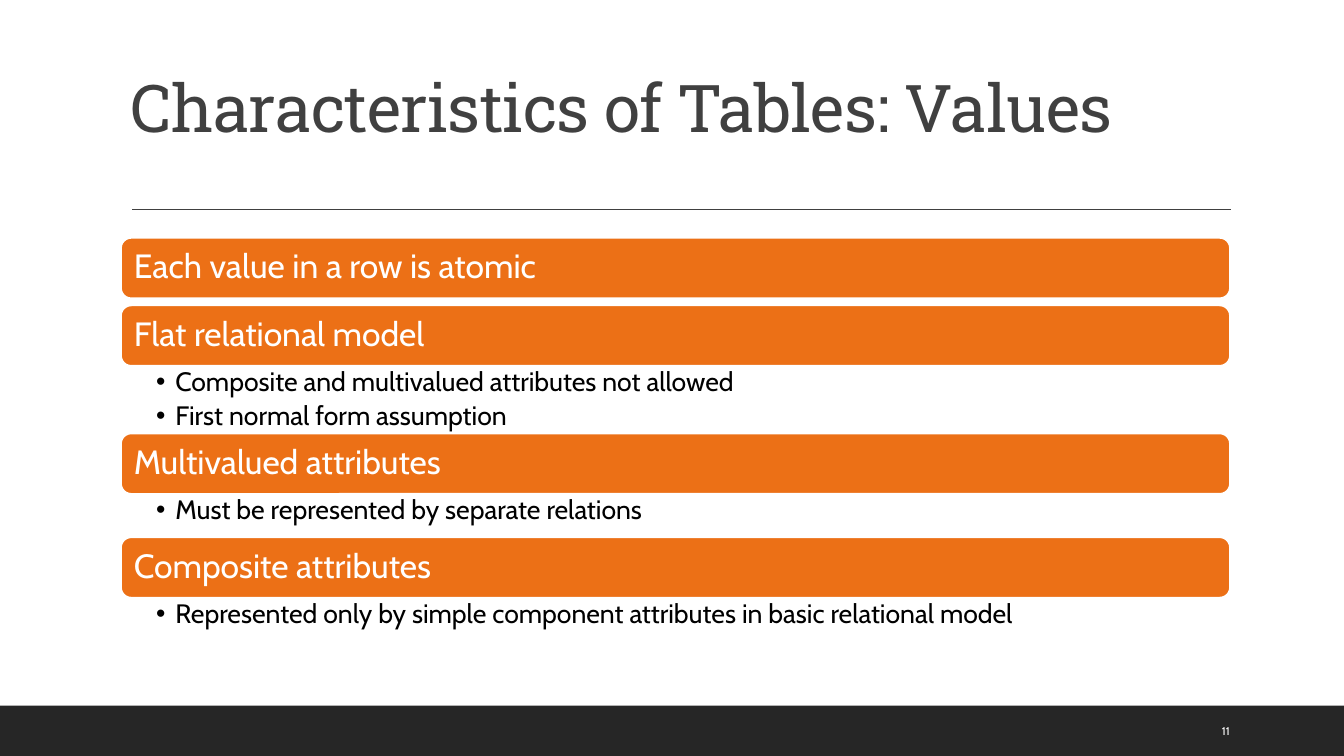
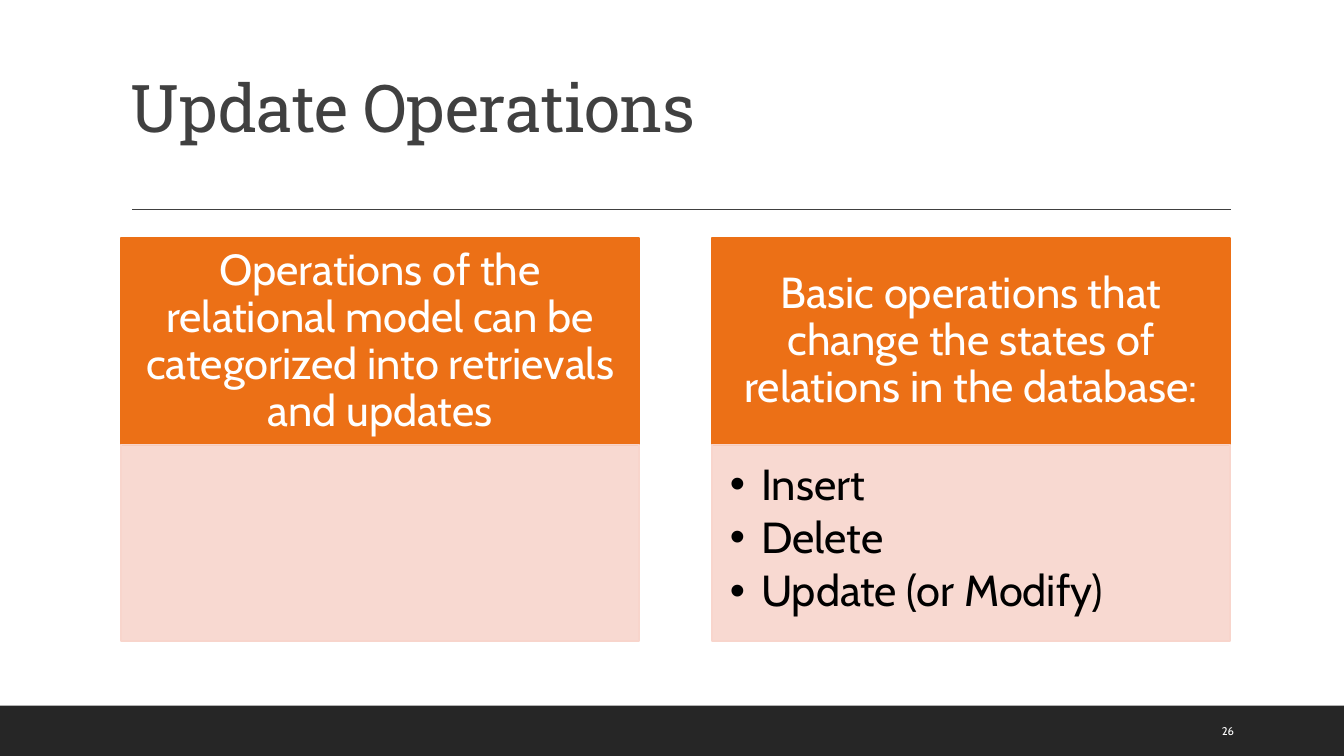
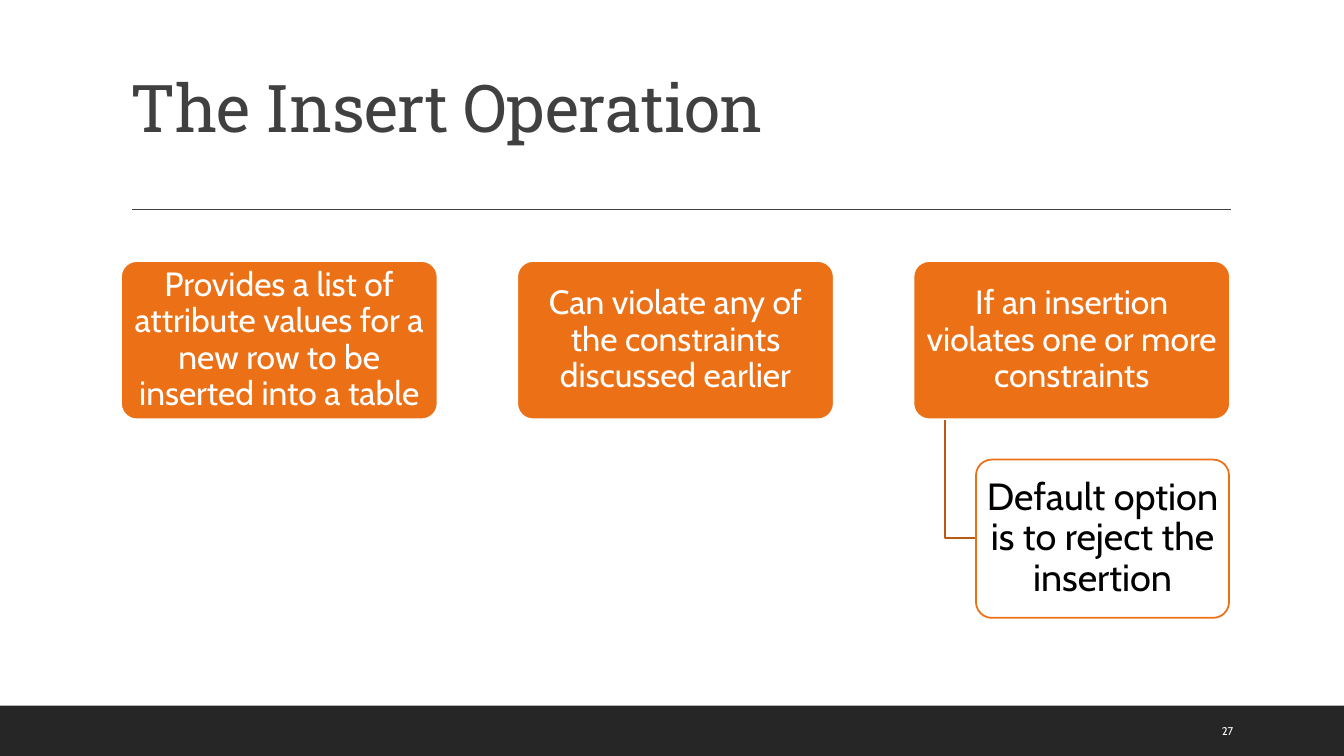
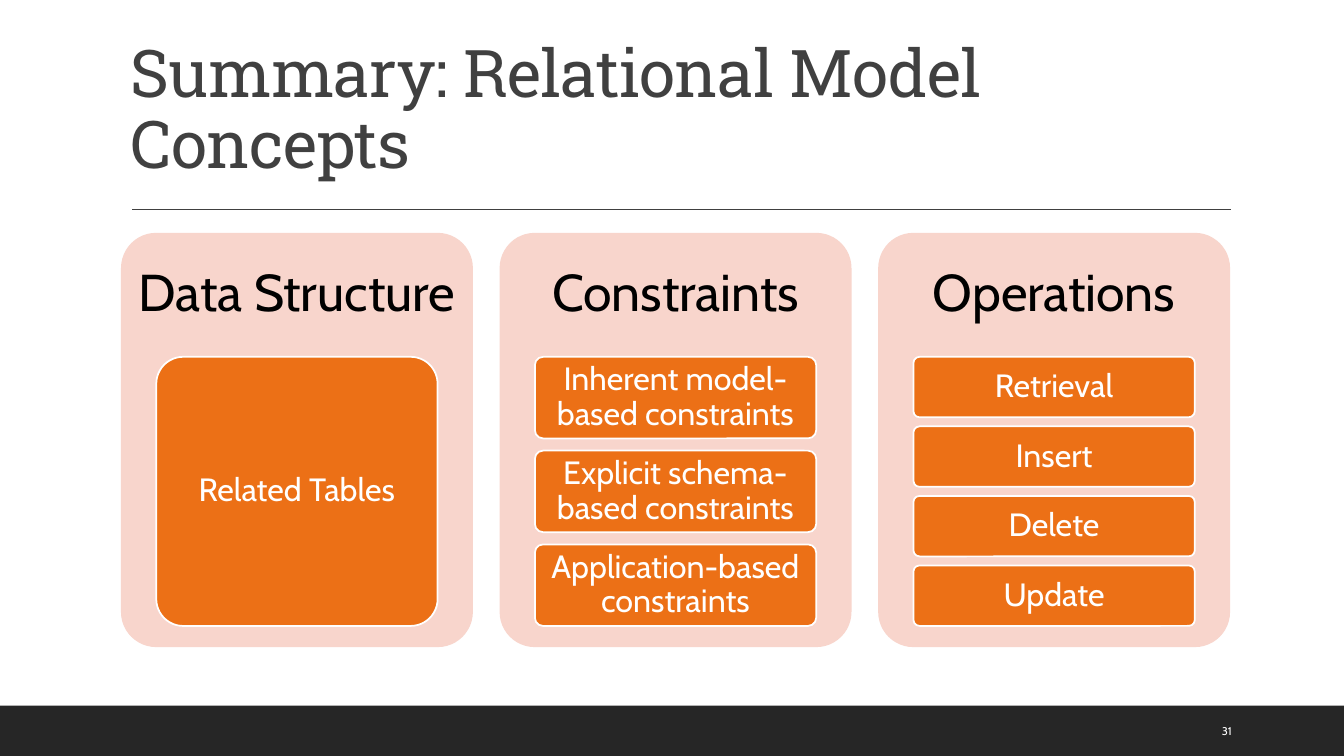
from lxml.etree import SubElement
from pptx import Presentation
from pptx.dml.color import RGBColor
from pptx.enum.shapes import MSO_CONNECTOR, MSO_SHAPE
from pptx.enum.text import MSO_ANCHOR, PP_ALIGN
from pptx.oxml.ns import qn
from pptx.util import Inches, Pt

ORANGE, DARK_ORANGE, PINK = "EC7016", "BD5A12", "F8D5CC"
WHITE, BLACK, GRAY, CHARCOAL = "FFFFFF", "000000", "404040", "262626"
HEADING_FONT, BODY_FONT = "Roboto Slab", "Cabin"
LEFT, WIDTH = 1.2, 11


def color(value):
    """Turn a hex string into a colour."""
    return RGBColor.from_string(value)


def write(shape, text, size=24, ink=WHITE, font=BODY_FONT, align=PP_ALIGN.LEFT,
          anchor=MSO_ANCHOR.MIDDLE, insets=(0.1, 0.1, 0.1, 0.1), line_spacing=0.9,
          space_after=0, bullet_indent=0, tracking=0):
    """Write one paragraph per line of text into a shape."""
    frame = shape.text_frame
    frame.word_wrap = True
    frame.vertical_anchor = anchor
    (frame.margin_left, frame.margin_top,
     frame.margin_right, frame.margin_bottom) = map(Inches, insets)
    for index, line in enumerate(text.split("\n")):
        paragraph = frame.add_paragraph() if index else frame.paragraphs[0]
        paragraph.alignment = align
        paragraph.line_spacing = line_spacing
        paragraph.space_after = Pt(space_after)
        run = paragraph.add_run()
        run.text = line
        run.font.size = Pt(size)
        run.font.name = font
        run.font.color.rgb = color(ink)
        if tracking:
            run._r.get_or_add_rPr().set("spc", str(round(tracking * 100)))
        if bullet_indent:
            properties = paragraph._p.get_or_add_pPr()
            properties.set("marL", str(Inches(bullet_indent)))
            properties.set("indent", str(-Inches(bullet_indent)))
            SubElement(properties, qn("a:buFont"), typeface="Arial")
            SubElement(properties, qn("a:buChar"), char="•")


def set_opacity(fill_parent, percent):
    """Make the solid colour inside an element partly transparent."""
    for value in fill_parent.iter(qn("a:srgbClr")):
        SubElement(value, qn("a:alpha"), val=str(percent * 1000))


class Deck:
    """Hold the shared style and the current slide."""

    def __init__(self):
        """Start an empty widescreen presentation."""
        self.presentation = Presentation()
        self.presentation.slide_width = Inches(13.33)
        self.presentation.slide_height = Inches(7.5)
        self.slide = None

    def new_slide(self, title, number):
        """Add a slide with its title, rule, footer band and number."""
        self.slide = self.presentation.slides.add_slide(self.presentation.slide_layouts[6])
        self.box(0, 7, 13.33, 0.5, fill=CHARCOAL)
        self.rule(1.31, 2.08, 12.21)
        self.text(title, LEFT, 0.31, WIDTH, 1.59, size=47, ink=GRAY, font=HEADING_FONT,
                  insets=(0.1, 0.05, 0.1, 0.05), tracking=-0.5)
        self.text(str(number), 12.02, 7.05, 0.85, 0.4, size=8,
                  insets=(0.1, 0.05, 0.1, 0.05), line_spacing=1)

    def text(self, text, left, top, width, height, **style):
        """Add a text box."""
        shape = self.slide.shapes.add_textbox(*map(Inches, (left, top, width, height)))
        write(shape, text, **style)

    def box(self, left, top, width, height, text="", fill=ORANGE, line=None,
            radius=0, opacity=100, **style):
        """Add a square or rounded box, with text if given."""
        kind = MSO_SHAPE.ROUNDED_RECTANGLE if radius else MSO_SHAPE.RECTANGLE
        shape = self.slide.shapes.add_shape(kind, *map(Inches, (left, top, width, height)))
        shape.shadow.inherit = False
        if radius:
            shape.adjustments[0] = radius
        shape.fill.solid()
        shape.fill.fore_color.rgb = color(fill)
        if opacity < 100:
            set_opacity(shape._element.spPr, opacity)
        if line:
            shape.line.color.rgb = color(line)
            shape.line.width = Pt(1.25)
        else:
            shape.line.fill.background()
        if text:
            write(shape, text, **style)

    def rule(self, left, top, right):
        """Add the thin line below the title."""
        line = self.slide.shapes.add_connector(
            MSO_CONNECTOR.STRAIGHT, Inches(left), Inches(top), Inches(right), Inches(top))
        line.line.color.rgb = color(GRAY)
        line.line.width = Pt(1)
        SubElement(line._element.spPr, qn("a:effectLst"))

    def branch(self, *points):
        """Add an open angled line through the points."""
        start, *others = [(Inches(x), Inches(y)) for x, y in points]
        builder = self.slide.shapes.build_freeform(*start)
        builder.add_line_segments(others, close=False)
        shape = builder.convert_to_shape()
        shape.shadow.inherit = False
        shape.fill.background()
        shape.line.color.rgb = color(DARK_ORANGE)
        shape.line.width = Pt(1.25)


def values_slide(deck):
    """Build the list of bars with bullets."""
    deck.new_slide("Characteristics of Tables: Values", 11)
    sections = [
        ("Each value in a row is atomic", "", 0.07),
        ("Flat relational model",
         "Composite and multivalued attributes not allowed\nFirst normal form assumption", 0.67),
        ("Multivalued attributes", "Must be represented by separate relations", 0.43),
        ("Composite attributes",
         "Represented only by simple component attributes in basic relational model", 0.43),
    ]
    top, bar_height = 2.36, 0.6
    for heading, bullets, space_below in sections:
        deck.box(LEFT, top, WIDTH, bar_height, heading, line=WHITE, radius=0.17)
        top += bar_height
        if bullets:
            deck.text(bullets, LEFT, top, WIDTH, space_below, size=19, ink=BLACK,
                      anchor=MSO_ANCHOR.TOP, insets=(0.35, 0.03, 0.19, 0.03),
                      space_after=3.8, bullet_indent=0.19)
        top += space_below


def update_slide(deck):
    """Build the two columns with headers."""
    deck.new_slide("Update Operations", 26)
    columns = [
        ("Operations of the relational model can be categorized into retrievals and updates", ""),
        ("Basic operations that change the states of relations in the database:",
         "Insert\nDelete\nUpdate (or Modify)"),
    ]
    width = 5.14
    for index, (heading, bullets) in enumerate(columns):
        left = LEFT + index * (WIDTH - width)
        deck.box(left, 2.36, width, 2.06, heading, line=ORANGE, size=31,
                 align=PP_ALIGN.CENTER, insets=(0.24, 0.14, 0.24, 0.14))
        deck.box(left, 4.41, width, 1.95, bullets, fill=PINK, line=PINK, opacity=90,
                 size=31, ink=BLACK, anchor=MSO_ANCHOR.TOP,
                 insets=(0.18, 0.18, 0.24, 0.27), space_after=4.65, bullet_indent=0.31)


def insert_slide(deck):
    """Build the three boxes and the branch below the last."""
    deck.new_slide("The Insert Operation", 27)
    statements = [
        "Provides a list of attribute values for a new row to be inserted into a table",
        "Can violate any of the constraints discussed earlier",
        "If an insertion violates one or more constraints",
    ]
    width, height = 3.14, 1.57
    step = (WIDTH - width) / 2
    for index, statement in enumerate(statements):
        deck.box(LEFT + index * step, 2.59, width, height, statement, line=WHITE, radius=0.1,
                 align=PP_ALIGN.CENTER, insets=(0.05, 0.03, 0.05, 0.03))
    deck.branch((9.37, 4.17), (9.37, 5.34), (9.68, 5.34))
    deck.box(9.68, 4.56, 2.51, height, "Default option is to reject the insertion",
             fill=WHITE, line=ORANGE, radius=0.1, opacity=90, size=27, ink=BLACK,
             align=PP_ALIGN.CENTER, insets=(0.06, 0.04, 0.06, 0.04))


def summary_slide(deck):
    """Build the three cards with stacked items."""
    deck.new_slide("Summary: Relational Model Concepts", 31)
    cards = {
        "Data Structure": ["Related Tables"],
        "Constraints": ["Inherent model-based constraints",
                        "Explicit schema-based constraints",
                        "Application-based constraints"],
        "Operations": ["Retrieval", "Insert", "Delete", "Update"],
    }
    width, stack_height, gap_ratio = 3.49, 2.67, 0.15
    step = (WIDTH - width) / 2
    for column, (heading, items) in enumerate(cards.items()):
        left = LEFT + column * step
        deck.box(left, 2.31, width, 4.11, fill=PINK, radius=0.1)
        deck.text(heading, left, 2.31, width, 1.23, size=37, ink=BLACK,
                  align=PP_ALIGN.CENTER, insets=(0.15, 0.15, 0.15, 0.15))
        height = stack_height / (len(items) + gap_ratio * (len(items) - 1))
        for row, item in enumerate(items):
            deck.box(left + 0.35, 3.54 + row * height * (1 + gap_ratio), 2.79, height, item,
                     line=WHITE, radius=0.1, size=23, align=PP_ALIGN.CENTER,
                     insets=(0.06, 0.05, 0.06, 0.05))


def main():
    """Build and save the presentation."""
    deck = Deck()
    for build in (values_slide, update_slide, insert_slide, summary_slide):
        build(deck)
    deck.presentation.save("out.pptx")


if __name__ == "__main__":
    main()
